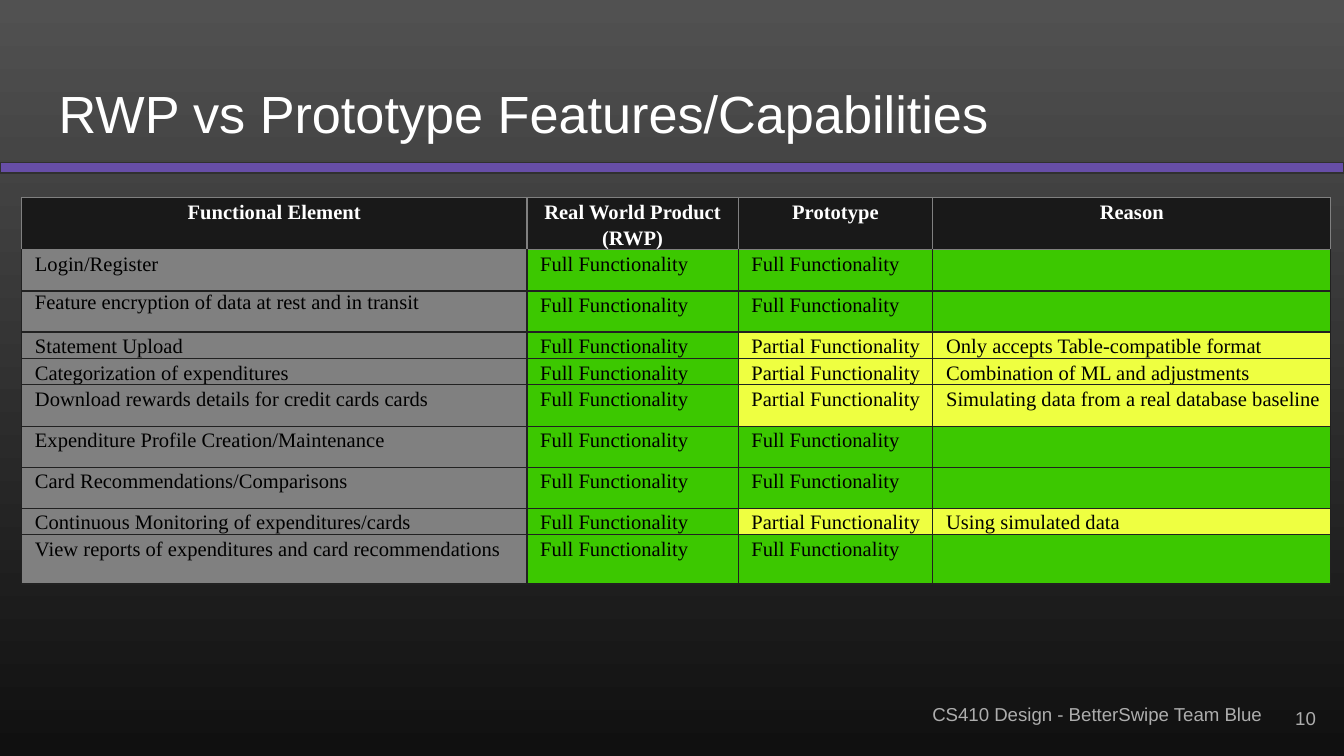
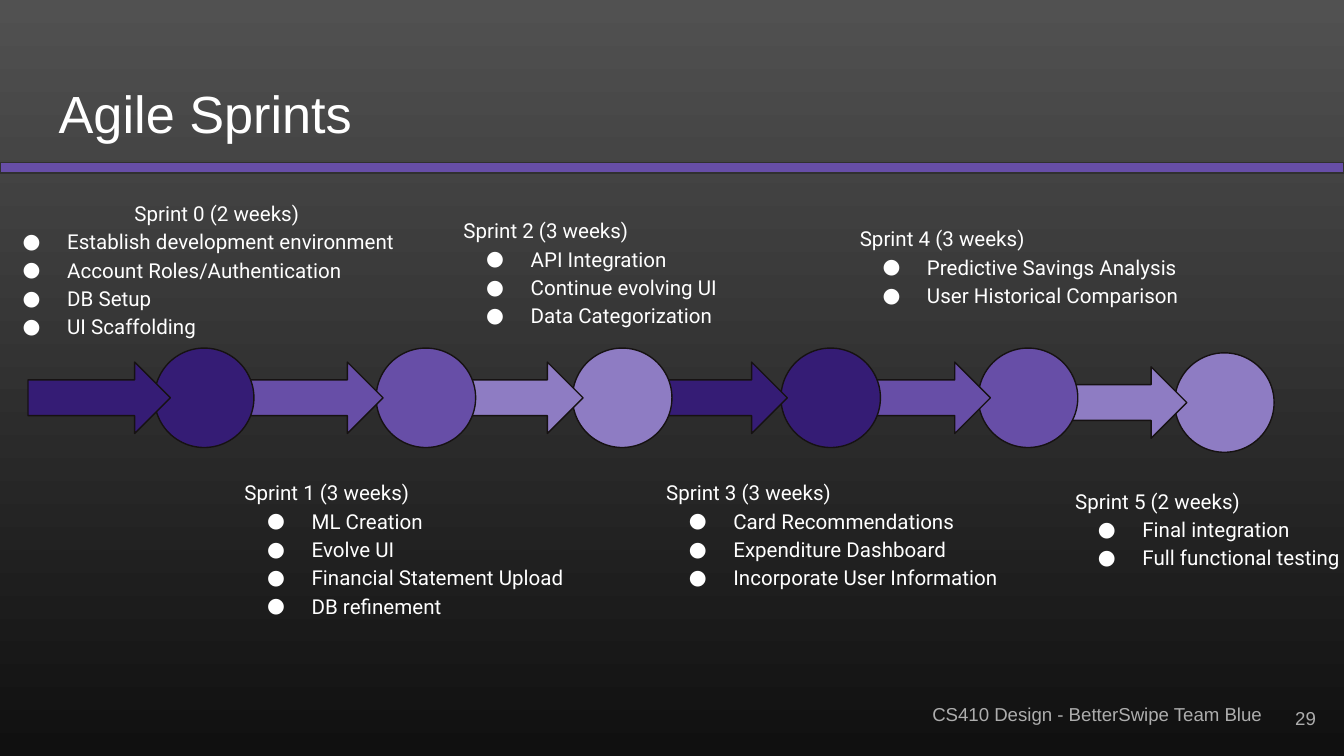
from dataclasses import dataclass
from itertools import cycle

from lxml import etree
from pptx import Presentation
from pptx.dml.color import RGBColor
from pptx.enum import shapes, text
from pptx.oxml import ns
from pptx.util import Cm, Pt

WHITE, BLACK, GREY, FOOTER_GREY = "FFFFFF", "000000", "808080", "ADADAD"
HEADER_FILL, GRID = "191919", "212121"
FULL_FILL, PARTIAL_FILL = "3CC800", "EEFF41"
DARK_PURPLE, PURPLE, LILAC = "351C75", "674EA7", "8E7CC3"
BAND_LINE, STAGE_LINE = "303030", "161212"
SLIDE_WIDTH, SLIDE_HEIGHT = 25.4, 14.29
LINE_SPACING = 1.15


@dataclass(frozen=True)
class Box:
    """A place on the slide, in centimetres."""
    left: float
    top: float
    width: float
    height: float

    def lengths(self) -> tuple:
        return Cm(self.left), Cm(self.top), Cm(self.width), Cm(self.height)


@dataclass(frozen=True)
class TextStyle:
    font: str
    size: float
    colour: str
    bold: bool = False


@dataclass(frozen=True)
class Feature:
    """A table row; a reason means the prototype is only partial."""
    name: str
    height: float
    reason: str = ""
    name_spacing: float = LINE_SPACING


@dataclass(frozen=True)
class Sprint:
    arrow_left: float
    circle_left: float
    notes: Box
    heading: str
    tasks: tuple[str, ...]
    middle: float = 7.52
    heading_indent: float = 0


TITLE_STYLE = TextStyle("Arial", 28, WHITE)
FOOTER_STYLE = TextStyle("Arial", 10, FOOTER_GREY)
HEADER_STYLE = TextStyle("Times New Roman", 11, WHITE, True)
CELL_STYLE = TextStyle("Times New Roman", 11, BLACK)
SPRINT_STYLE = TextStyle("Roboto", 11, WHITE)

TITLE_BOX = Box(0.86, 1.24, 23.67, 1.73)
BAND_BOX = Box(0, 3.07, SLIDE_WIDTH, 0.2)
FOOTER_BOX = Box(17.37, 13.03, 8.43, 0.94)
NUMBER_BOX = Box(23.6, 13.03, 1.52, 1.09)

HEADERS = ("Functional Element", "Real World Product (RWP)", "Prototype", "Reason")
COLUMN_WIDTHS = (9.55, 3.99, 3.68, 7.52)
HEADER_HEIGHT = 0.98
FEATURES = (
    Feature("Login/Register", 0.72),
    Feature("Feature encryption of data at rest and in transit", 0.72, name_spacing=1),
    Feature("Statement Upload", 0.5, "Only accepts Table-compatible format"),
    Feature("Categorization of expenditures", 0.5, "Combination of ML and adjustments"),
    Feature("Download rewards details for credit cards cards", 0.78,
            "Simulating data from a real database baseline"),
    Feature("Expenditure Profile Creation/Maintenance", 0.72),
    Feature("Card Recommendations/Comparisons", 0.72),
    Feature("Continuous Monitoring of expenditures/cards", 0.5, "Using simulated data"),
    Feature("View reports of expenditures and card recommendations", 0.93),
)

CIRCLE_SIZE, ARROW_HEIGHT = 1.88, 1.35
STAGE_LOOKS = ((DARK_PURPLE, 2.69), (PURPLE, 2.87), (LILAC, 2.74))  # colour, arrow width
SPRINTS = (
    Sprint(0.53, 2.92, Box(-0.25, 3.48, 8.53, 2.59), "Sprint 0 (2 weeks)",
           ("Establish development environment", "Account Roles/Authentication",
            "DB Setup", "UI Scaffolding"), heading_indent=1.27),
    Sprint(4.37, 7.11, Box(4.37, 8.76, 6.71, 2.18), "Sprint 1 (3 weeks)",
           ("ML Creation", "Evolve UI", "Financial Statement Upload", "DB refinement")),
    Sprint(8.28, 10.82, Box(8.51, 3.81, 7.87, 2.18), "Sprint 2 (3 weeks)",
           ("API Integration", "Continue evolving UI", "Data Categorization")),
    Sprint(12.19, 14.76, Box(12.34, 8.76, 7.52, 2.18), "Sprint 3 (3 weeks)",
           ("Card Recommendations", "Expenditure Dashboard", "Incorporate User Information")),
    Sprint(15.85, 18.49, Box(16, 3.96, 6.83, 2.18), "Sprint 4 (3 weeks)",
           ("Predictive Savings Analysis", "User Historical Comparison")),
    Sprint(19.69, 22.2, Box(20.07, 8.92, 5.61, 2.18), "Sprint 5 (2 weeks)",
           ("Final integration", "Full functional testing"), middle=7.61),
)


def rgb(colour: str) -> RGBColor:
    return RGBColor.from_string(colour)


def add_run(paragraph, words: str, style: TextStyle) -> None:
    run = paragraph.add_run()
    run.text = words
    run.font.name = style.font
    run.font.size = Pt(style.size)
    run.font.bold = style.bold
    run.font.color.rgb = rgb(style.colour)


def prepare_frame(frame, anchor=text.MSO_ANCHOR.TOP) -> None:
    frame.word_wrap = True
    frame.auto_size = text.MSO_AUTO_SIZE.NONE
    frame.vertical_anchor = anchor
    frame.margin_left = frame.margin_right = Cm(0.25)
    frame.margin_top = frame.margin_bottom = Cm(0.25)


def add_text_box(slide, box: Box, anchor=text.MSO_ANCHOR.TOP):
    frame = slide.shapes.add_textbox(*box.lengths()).text_frame
    prepare_frame(frame, anchor)
    return frame


def add_filled_shape(slide, kind, box: Box, fill: str, line: str) -> None:
    shape = slide.shapes.add_shape(kind, *box.lengths())
    shape.shadow.inherit = False
    shape.fill.solid()
    shape.fill.fore_color.rgb = rgb(fill)
    shape.line.color.rgb = rgb(line)
    shape.line.width = Pt(0.75)


def set_indent(paragraph, left: float, first: float) -> None:
    properties = paragraph._p.get_or_add_pPr()
    properties.set("marL", str(Cm(left)))
    properties.set("indent", str(Cm(first)))


def add_bullet(paragraph, colour: str) -> None:
    properties = paragraph._p.get_or_add_pPr()
    bullet_colour = etree.SubElement(properties, ns.qn("a:buClr"))
    etree.SubElement(bullet_colour, ns.qn("a:srgbClr"), val=colour)
    etree.SubElement(properties, ns.qn("a:buFont"), typeface="Roboto")
    etree.SubElement(properties, ns.qn("a:buChar"), char="●")


def set_background(master) -> None:
    fill = master.background.fill
    fill.gradient()
    fill.gradient_angle = 270
    for stop, colour in zip(fill.gradient_stops, ("515151", "101010")):
        stop.color.rgb = rgb(colour)


def add_base_slide(presentation, title: str, number: int):
    """Add a slide with the shared title, band, footer and number."""
    slide = presentation.slides.add_slide(presentation.slide_layouts[5])
    add_filled_shape(slide, shapes.MSO_SHAPE.RECTANGLE, BAND_BOX, PURPLE, BAND_LINE)
    footer = add_text_box(slide, FOOTER_BOX)
    add_run(footer.paragraphs[0], "CS410 Design - BetterSwipe Team Blue", FOOTER_STYLE)

    heading = slide.shapes.title
    heading.left, heading.top, heading.width, heading.height = TITLE_BOX.lengths()
    prepare_frame(heading.text_frame, text.MSO_ANCHOR.BOTTOM)
    paragraph = heading.text_frame.paragraphs[0]
    paragraph.alignment = text.PP_ALIGN.LEFT
    add_run(paragraph, title, TITLE_STYLE)

    paragraph = add_text_box(slide, NUMBER_BOX, text.MSO_ANCHOR.MIDDLE).paragraphs[0]
    paragraph.alignment = text.PP_ALIGN.RIGHT
    add_run(paragraph, str(number), FOOTER_STYLE)
    return slide


def set_borders(cell, colour: str, top_colour: str) -> None:
    properties = cell._tc.get_or_add_tcPr()
    sides = (("lnL", colour), ("lnR", colour), ("lnT", top_colour), ("lnB", colour))
    for position, (side, side_colour) in enumerate(sides):
        line = etree.Element(ns.qn(f"a:{side}"), w=str(Pt(0.75)))
        fill = etree.SubElement(line, ns.qn("a:solidFill"))
        etree.SubElement(fill, ns.qn("a:srgbClr"), val=side_colour)
        properties.insert(position, line)


def fill_cell(cell, words: str, fill: str, style: TextStyle, spacing: float,
              left_margin: float = 0.25) -> None:
    cell.margin_left = Cm(left_margin)
    cell.margin_right = cell.margin_top = cell.margin_bottom = 0
    cell.fill.solid()
    cell.fill.fore_color.rgb = rgb(fill)
    if words:
        paragraph = cell.text_frame.paragraphs[0]
        paragraph.line_spacing = spacing
        add_run(paragraph, words, style)


def add_feature_table(slide) -> None:
    heights = (HEADER_HEIGHT, *(feature.height for feature in FEATURES))
    box = Box(0.41, 3.73, sum(COLUMN_WIDTHS), sum(heights))
    table = slide.shapes.add_table(len(heights), len(HEADERS), *box.lengths()).table
    table.first_row = table.horz_banding = False
    for column, width in zip(table.columns, COLUMN_WIDTHS):
        column.width = Cm(width)
    for row, height in zip(table.rows, heights):
        row.height = Cm(height)

    for cell, words in zip(table.rows[0].cells, HEADERS):
        fill_cell(cell, words, HEADER_FILL, HEADER_STYLE, LINE_SPACING, left_margin=0)
        cell.text_frame.paragraphs[0].alignment = text.PP_ALIGN.CENTER
        set_borders(cell, GREY, GREY)

    for index, feature in enumerate(FEATURES, start=1):
        prototype = "Partial" if feature.reason else "Full"
        status_fill = PARTIAL_FILL if feature.reason else FULL_FILL
        contents = (
            (feature.name, GREY, feature.name_spacing),
            ("Full Functionality", FULL_FILL, LINE_SPACING),
            (f"{prototype} Functionality", status_fill, LINE_SPACING),
            (feature.reason, status_fill, LINE_SPACING),
        )
        for cell, (words, fill, spacing) in zip(table.rows[index].cells, contents):
            fill_cell(cell, words, fill, CELL_STYLE, spacing)
            set_borders(cell, GRID, GREY if index == 1 else GRID)


def add_stage(slide, sprint: Sprint, colour: str, arrow_width: float) -> None:
    circle = Box(sprint.circle_left, sprint.middle - CIRCLE_SIZE / 2, CIRCLE_SIZE, CIRCLE_SIZE)
    arrow = Box(sprint.arrow_left, sprint.middle - ARROW_HEIGHT / 2, arrow_width, ARROW_HEIGHT)
    add_filled_shape(slide, shapes.MSO_SHAPE.OVAL, circle, colour, STAGE_LINE)
    add_filled_shape(slide, shapes.MSO_SHAPE.RIGHT_ARROW, arrow, colour, STAGE_LINE)


def add_sprint_notes(slide, sprint: Sprint) -> None:
    frame = add_text_box(slide, sprint.notes)
    heading = frame.paragraphs[0]
    set_indent(heading, sprint.heading_indent, sprint.heading_indent)
    heading.line_spacing = LINE_SPACING
    add_run(heading, sprint.heading, SPRINT_STYLE)
    for task in sprint.tasks:
        paragraph = frame.add_paragraph()
        set_indent(paragraph, 1.27, -0.84)
        add_bullet(paragraph, WHITE)
        paragraph.line_spacing = LINE_SPACING
        add_run(paragraph, task, SPRINT_STYLE)


def main() -> None:
    presentation = Presentation()
    presentation.slide_width = Cm(SLIDE_WIDTH)
    presentation.slide_height = Cm(SLIDE_HEIGHT)
    set_background(presentation.slide_master)

    features_slide = add_base_slide(presentation, "RWP vs Prototype Features/Capabilities", 10)
    add_feature_table(features_slide)

    sprints_slide = add_base_slide(presentation, "Agile Sprints", 29)
    stages = list(zip(SPRINTS, cycle(STAGE_LOOKS)))
    for sprint, (colour, arrow_width) in reversed(stages):
        add_stage(sprints_slide, sprint, colour, arrow_width)
    for sprint in SPRINTS:
        add_sprint_notes(sprints_slide, sprint)

    presentation.save("out.pptx")


if __name__ == "__main__":
    main()
